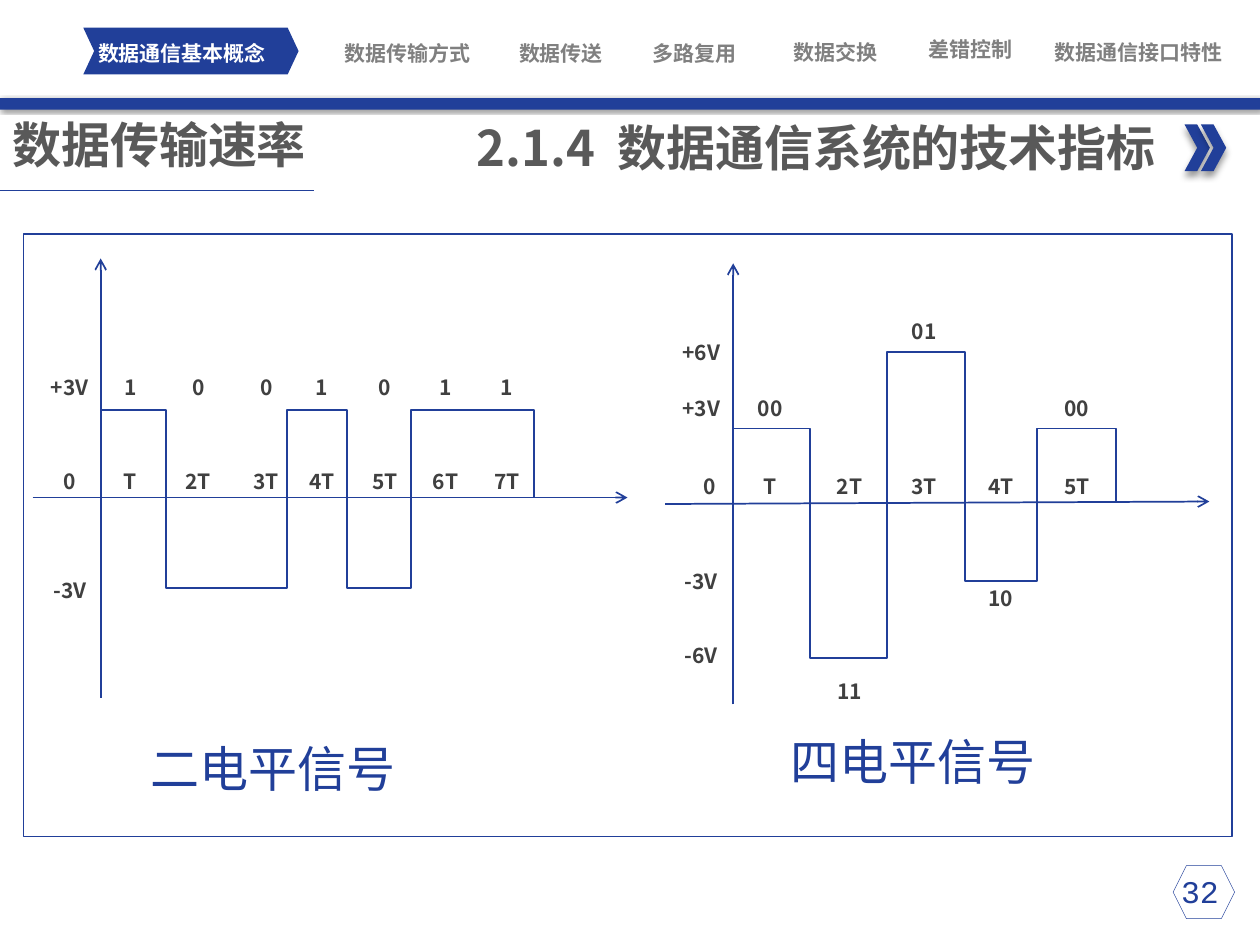
from lxml.etree import SubElement
from pptx import Presentation
from pptx.dml.color import RGBColor
from pptx.enum.shapes import MSO_CONNECTOR, MSO_SHAPE
from pptx.enum.text import MSO_ANCHOR, MSO_AUTO_SIZE, PP_ALIGN
from pptx.oxml.ns import qn
from pptx.util import Cm, Pt

BLUE = RGBColor(0x21, 0x3F, 0x99)
WHITE = RGBColor(0xFF, 0xFF, 0xFF)
GREY = RGBColor(0x80, 0x80, 0x80)
DARK = RGBColor(0x59, 0x59, 0x59)
INK = RGBColor(0x40, 0x40, 0x40)
SANS = "Noto Sans CJK SC"
NAV = "Roboto Condensed"
MONO = "Courier New"


def write(shape, text, size, color, font=SANS, bold=True,
          align=PP_ALIGN.CENTER, anchor=MSO_ANCHOR.TOP):
    frame = shape.text_frame
    frame.word_wrap = True
    frame.auto_size = MSO_AUTO_SIZE.NONE
    frame.vertical_anchor = anchor
    frame.text = text
    para = frame.paragraphs[0]
    para.alignment = align
    para.font.size = Pt(size)
    para.font.bold = bold
    para.font.color.rgb = color
    para.font.name = font
    # Chinese glyphs use their own typeface slot
    props = para._p.pPr.find(qn("a:defRPr"))
    SubElement(props, qn("a:ea")).set("typeface", SANS)
    return frame


def add_text(slide, mid, top, width, height, text, size, color, **style):
    box = slide.shapes.add_textbox(Cm(mid - width / 2), Cm(top),
                                   Cm(width), Cm(height))
    return write(box, text, size, color, **style)


def add_label(slide, mid, top, text):
    add_text(slide, mid, top, 1.5, 0.76, text, 12, INK)


def add_solid(slide, kind, left, top, width, height):
    shape = slide.shapes.add_shape(kind, Cm(left), Cm(top),
                                   Cm(width), Cm(height))
    shape.shadow.inherit = False
    shape.fill.solid()
    shape.fill.fore_color.rgb = BLUE
    shape.line.fill.background()
    return shape


def add_frame(slide, kind, left, top, width, height, weight):
    shape = add_solid(slide, kind, left, top, width, height)
    shape.fill.background()
    shape.line.color.rgb = BLUE
    shape.line.width = Pt(weight)


def drop_shadow(shape, blur, dist, angle):
    effects = shape._element.spPr.find(qn("a:effectLst"))
    outer = SubElement(effects, qn("a:outerShdw"), blurRad=str(Pt(blur)),
                       dist=str(Pt(dist)), dir=str(angle * 60000),
                       algn="t", rotWithShape="0")
    black = SubElement(outer, qn("a:srgbClr"), val="000000")
    SubElement(black, qn("a:alpha"), val="40000")


def add_line(slide, x1, y1, x2, y2, weight=1, arrow=True):
    line = slide.shapes.add_connector(MSO_CONNECTOR.STRAIGHT,
                                      Cm(x1), Cm(y1), Cm(x2), Cm(y2))
    line.line.color.rgb = BLUE
    line.line.width = Pt(weight)
    if arrow:
        SubElement(line.line._get_or_add_ln(), qn("a:tailEnd"), type="arrow")
    SubElement(line._element.spPr, qn("a:effectLst"))


def add_wave(slide, edges, levels, end):
    # Each level spans two neighbouring edges
    points = []
    for left, right, level in zip(edges, edges[1:], levels):
        points += [(Cm(left), Cm(level)), (Cm(right), Cm(level))]
    points.append((Cm(edges[-1]), Cm(end)))
    path = slide.shapes.build_freeform(*points[0])
    path.add_line_segments(points[1:], close=False)
    wave = path.convert_to_shape()
    wave.shadow.inherit = False
    wave.fill.background()
    wave.line.color.rgb = BLUE
    wave.line.width = Pt(1)


def add_tabs(slide):
    mark = add_solid(slide, MSO_SHAPE.CHEVRON, 1.68, 0.56, 4.34, 0.94)
    mark.adjustments[0] = 0.234
    tabs = [("数据通信基本概念", 3.67, 0.81), ("数据传输方式", 8.22, 0.81),
            ("数据传送", 11.31, 0.81), ("多路复用", 14.01, 0.81),
            ("数据交换", 16.85, 0.79), ("差错控制", 19.57, 0.74),
            ("数据通信接口特性", 22.96, 0.79)]
    for i, (text, mid, top) in enumerate(tabs):
        frame = add_text(slide, mid, top, 4.88, 0.51, text, 12,
                         GREY if i else WHITE, font=NAV,
                         anchor=MSO_ANCHOR.MIDDLE)
        frame.margin_left = frame.margin_right = 0
        frame.margin_top = frame.margin_bottom = 0


def add_heads(slide):
    bar = add_solid(slide, MSO_SHAPE.RECTANGLE, 0, 1.98, 25.4, 0.23)
    drop_shadow(bar, 2, 1, 45)
    for left in (23.88, 24.21):
        mark = add_solid(slide, MSO_SHAPE.CHEVRON, left, 2.51, 0.51, 0.94)
        drop_shadow(mark, 4, 3, 90)
    title = slide.shapes.title
    title.left, title.top = Cm(1.93), Cm(2.24)
    title.width, title.height = Cm(21.62), Cm(1.45)
    write(title, "2.1.4  数据通信系统的技术指标", 28, DARK,
          align=PP_ALIGN.RIGHT)
    add_text(slide, 4.78, 2.18, 9.56, 1.45, "数据传输速率", 28, DARK,
             align=PP_ALIGN.LEFT)
    add_line(slide, 0, 3.84, 6.32, 3.84, 0.5, arrow=False)


def add_two(slide):
    add_line(slide, 0.66, 10.03, 12.65, 10.03)
    add_line(slide, 2.03, 14.07, 2.03, 5.21)
    high, low = 8.26, 11.86
    add_wave(slide, [2.03, 3.35, 5.79, 6.99, 8.28, 10.77],
             [high, low, high, low, high], 10.01)
    mids = [2.63, 4, 5.37, 6.49, 7.76, 8.98, 10.22]
    for i, (mid, bit) in enumerate(zip(mids, "1001011"), 1):
        add_label(slide, mid, 7.42, bit)
        add_label(slide, mid, 9.32, f"{i}T" if i > 1 else "T")
    for text, top in (("+3V", 7.42), ("0", 9.32), ("-3V", 11.51)):
        add_label(slide, 1.41, top, text)
    add_text(slide, 5.51, 14.76, 6.8, 1.45, "二电平信号", 28, BLUE, bold=False)


def add_four(slide):
    add_line(slide, 13.41, 10.16, 24.38, 10.11)
    add_line(slide, 14.78, 14.2, 14.78, 5.31)
    add_wave(slide, [14.76, 16.33, 17.88, 19.46, 20.9, 22.5],
             [8.64, 13.26, 7.09, 11.71, 8.64], 10.11)
    steps = [(15.53, "00", 7.85), (17.13, "11", 13.56), (18.63, "01", 6.3),
             (20.18, "10", 11.68), (21.71, "00", 7.85)]
    for i, (mid, bits, top) in enumerate(steps, 1):
        add_label(slide, mid, top, bits)
        add_label(slide, mid, 9.42, f"{i}T" if i > 1 else "T")
    add_label(slide, 14.31, 9.42, "0")
    for text, top in (("+6V", 6.73), ("+3V", 7.85),
                      ("-3V", 11.33), ("-6V", 12.83)):
        add_label(slide, 14.14, top, text)
    add_text(slide, 18.4, 14.63, 6.8, 1.45, "四电平信号", 28, BLUE, bold=False)


def main():
    deck = Presentation()
    deck.slide_width, deck.slide_height = Cm(25.4), Cm(19.05)
    slide = deck.slides.add_slide(deck.slide_layouts[5])
    # Navigation and headings
    add_tabs(slide)
    add_heads(slide)
    # Signal diagrams
    add_frame(slide, MSO_SHAPE.RECTANGLE, 0.48, 4.72, 24.36, 12.14, 0.75)
    add_two(slide)
    add_four(slide)
    # Page number
    add_frame(slide, MSO_SHAPE.HEXAGON, 23.65, 17.45, 1.24, 1.07, 0.25)
    add_text(slide, 24.19, 17.45, 2.2, 1.02, "32", 18, BLUE,
             font=MONO, bold=False)
    deck.save("out.pptx")


if __name__ == "__main__":
    main()
